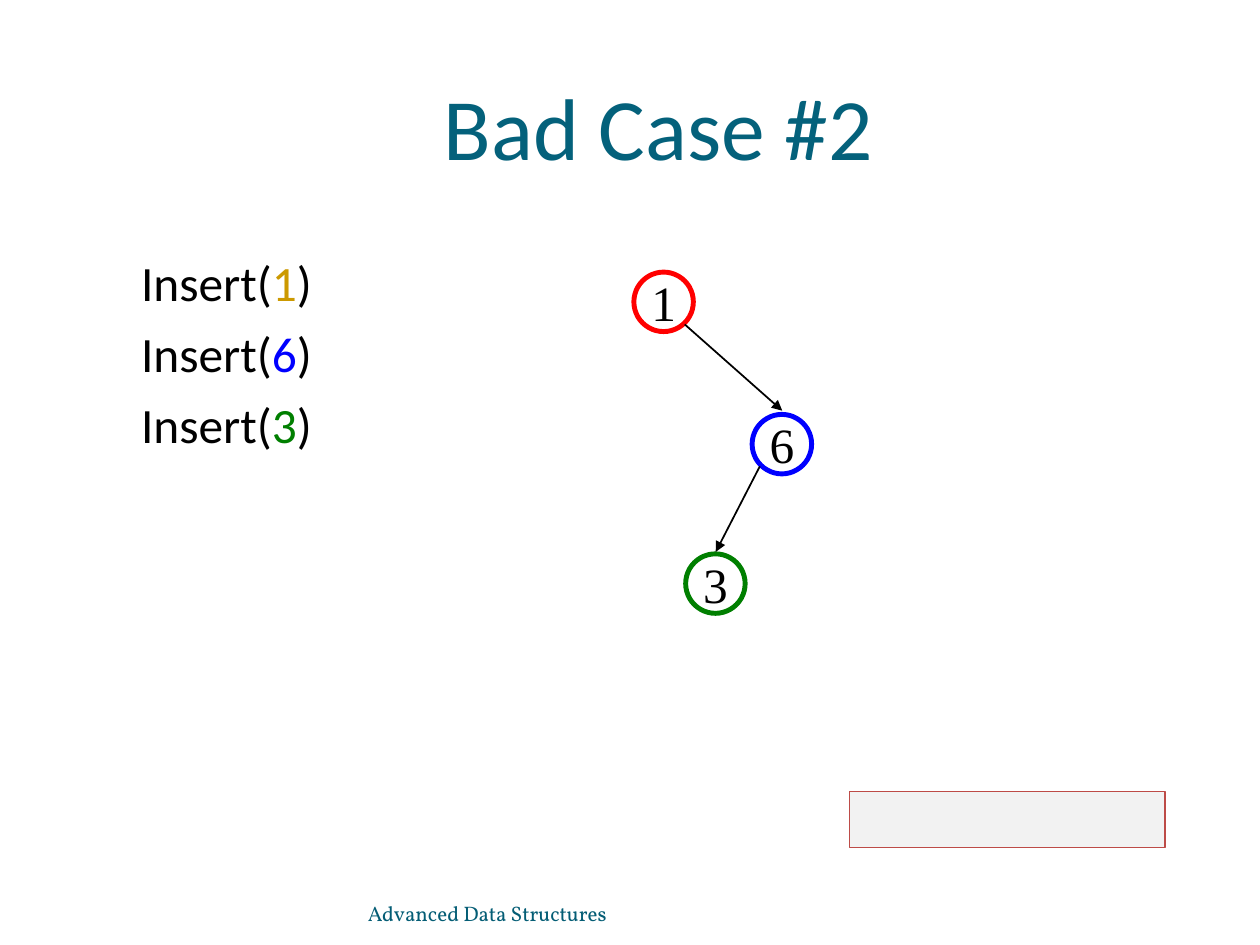
from dataclasses import dataclass

from lxml.etree import SubElement
from pptx import Presentation
from pptx.dml.color import RGBColor
from pptx.enum.shapes import MSO_CONNECTOR, MSO_SHAPE
from pptx.enum.text import MSO_ANCHOR, MSO_AUTO_SIZE, PP_ALIGN
from pptx.oxml.ns import qn
from pptx.shapes.base import BaseShape
from pptx.slide import Slide
from pptx.text.text import Font, TextFrame
from pptx.util import Pt


@dataclass(frozen=True)
class Theme:
    title: str = "04617B"
    footer: str = "045D75"
    text: str = "000000"
    gold: str = "CC9900"
    red: str = "FF0000"
    blue: str = "0000FF"
    green: str = "007F00"
    panel: str = "F2F2F2"
    panel_border: str = "BD4B47"
    text_face: str = "Calibri"
    node_face: str = "Times New Roman"
    footer_face: str = "Vollkorn"
    title_size: float = 50
    body_size: float = 28.2
    footer_size: float = 12


@dataclass(frozen=True)
class Node:
    key: str
    x: float
    y: float
    ring: str
    key_color: str


@dataclass(frozen=True)
class Edge:
    start: tuple[float, float]
    end: tuple[float, float]


THEME = Theme()
NODE_DIAMETER = 34
NODES = [
    Node("1", 379.2, 172.5, THEME.red, THEME.gold),
    Node("6", 446.8, 253.8, THEME.blue, THEME.blue),
    Node("3", 408.8, 333.5, THEME.green, THEME.green),
]
EDGES = [
    Edge((391.3, 185.4), (447, 234.7)),
    Edge((434.2, 266.5), (409, 315.4)),
]


def place(shape: BaseShape, left: float, top: float, width: float, height: float) -> None:
    """Position a shape, in points."""
    shape.left, shape.top = Pt(left), Pt(top)
    shape.width, shape.height = Pt(width), Pt(height)


def style_font(font: Font, face: str, size: float, color: str) -> None:
    """Apply a typeface, size and colour."""
    font.name, font.size = face, Pt(size)
    font.color.rgb = RGBColor.from_string(color)


def prepare_frame(frame: TextFrame, anchor: MSO_ANCHOR, wrap: bool = True) -> None:
    """Remove the insets and set the anchor and wrapping of a text frame."""
    frame.margin_left = frame.margin_right = frame.margin_top = frame.margin_bottom = 0
    frame.auto_size = MSO_AUTO_SIZE.NONE
    frame.vertical_anchor, frame.word_wrap = anchor, wrap


def add_title(slide: Slide, text: str) -> None:
    """Fill the title placeholder, indented from its left edge."""
    title = slide.shapes.title
    place(title, 121.7, 61, 414, 41)
    prepare_frame(title.text_frame, MSO_ANCHOR.BOTTOM)
    paragraph = title.text_frame.paragraphs[0]
    paragraph.text, paragraph.alignment = text, PP_ALIGN.LEFT
    paragraph._p.get_or_add_pPr().set("marL", str(Pt(131.8)))
    style_font(paragraph.font, THEME.text_face, THEME.title_size, THEME.title)


def add_insertions(slide: Slide, nodes: list[Node]) -> None:
    """List one insertion per node in the body placeholder."""
    body = slide.placeholders[1]
    place(body, 80.6, 137.5, 99.4, 124.6)
    frame = body.text_frame
    prepare_frame(frame, MSO_ANCHOR.TOP)
    for index, node in enumerate(nodes):
        paragraph = frame.paragraphs[0] if index == 0 else frame.add_paragraph()
        properties = paragraph._p.get_or_add_pPr()
        properties.set("marL", "0")
        properties.set("indent", "0")
        paragraph.line_spacing, paragraph.space_before = 1.2, Pt(0)
        SubElement(properties, qn("a:buNone"))
        style_font(paragraph.font, THEME.text_face, THEME.body_size, THEME.text)
        for text in ("Insert(", node.key, ")"):
            run = paragraph.add_run()
            run.text = text
            if text == node.key:
                run.font.color.rgb = RGBColor.from_string(node.key_color)


def add_node(slide: Slide, node: Node) -> None:
    """Draw a ringed tree node centred on its position."""
    radius = NODE_DIAMETER / 2
    oval = slide.shapes.add_shape(
        MSO_SHAPE.OVAL, Pt(node.x - radius), Pt(node.y - radius), Pt(NODE_DIAMETER), Pt(NODE_DIAMETER)
    )
    oval.shadow.inherit = False
    oval.fill.background()
    oval.line.color.rgb = RGBColor.from_string(node.ring)
    oval.line.width = Pt(2.8)
    prepare_frame(oval.text_frame, MSO_ANCHOR.MIDDLE, wrap=False)
    paragraph = oval.text_frame.paragraphs[0]
    paragraph.text, paragraph.alignment = node.key, PP_ALIGN.CENTER
    style_font(paragraph.font, THEME.node_face, THEME.body_size, THEME.text)


def add_edge(slide: Slide, edge: Edge) -> None:
    """Draw an arrow from a parent node to its child."""
    connector = slide.shapes.add_connector(
        MSO_CONNECTOR.STRAIGHT, *(Pt(value) for value in edge.start + edge.end)
    )
    connector.line.color.rgb = RGBColor.from_string(THEME.text)
    connector.line.width = Pt(1)
    properties = connector._element.spPr
    SubElement(properties.find(qn("a:ln")), qn("a:tailEnd"), type="triangle")
    SubElement(properties, qn("a:effectLst"))


def add_panel(slide: Slide) -> None:
    """Draw the empty bordered panel."""
    panel = slide.shapes.add_shape(MSO_SHAPE.RECTANGLE, Pt(485.5), Pt(452.4), Pt(180.3), Pt(32))
    panel.shadow.inherit = False
    panel.fill.solid()
    panel.fill.fore_color.rgb = RGBColor.from_string(THEME.panel)
    panel.line.color.rgb = RGBColor.from_string(THEME.panel_border)
    panel.line.width = Pt(0.7)


def add_footer(slide: Slide, text: str) -> None:
    """Write the course name at the foot of the slide."""
    footer = slide.shapes.add_textbox(Pt(210.2), Pt(500.4), Pt(264.2), Pt(28.8))
    prepare_frame(footer.text_frame, MSO_ANCHOR.BOTTOM)
    paragraph = footer.text_frame.paragraphs[0]
    paragraph.text = text
    style_font(paragraph.font, THEME.footer_face, THEME.footer_size, THEME.footer)


def main() -> None:
    """Build and save the slide."""
    presentation = Presentation()
    presentation.slide_width, presentation.slide_height = Pt(720), Pt(540)
    slide = presentation.slides.add_slide(presentation.slide_layouts[1])
    add_title(slide, "Bad Case #2")
    add_insertions(slide, NODES)
    for node in NODES:
        add_node(slide, node)
    for edge in EDGES:
        add_edge(slide, edge)
    add_panel(slide)
    add_footer(slide, "Advanced Data Structures")
    presentation.save("out.pptx")


if __name__ == "__main__":
    main()
